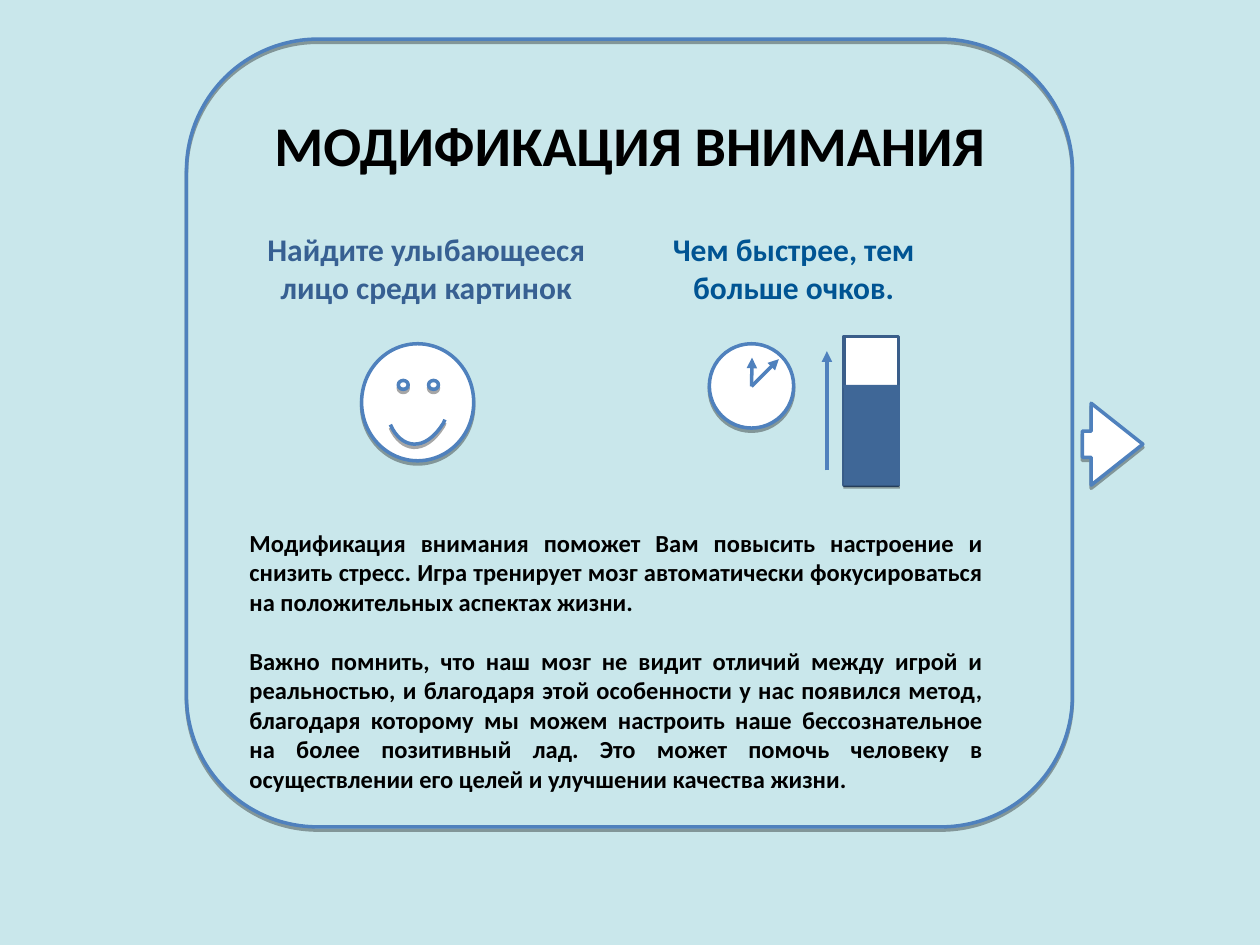
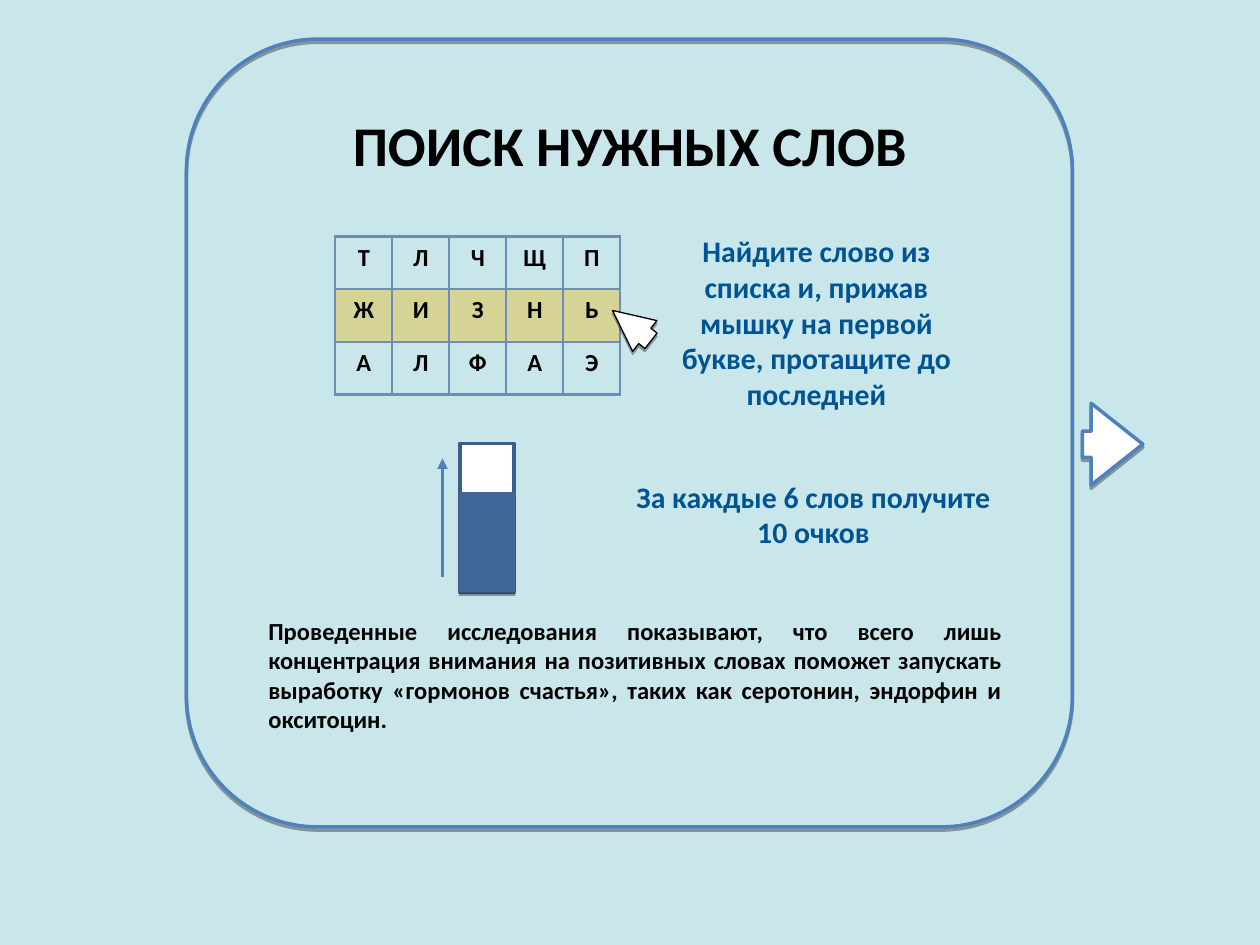
from dataclasses import dataclass
from lxml.etree import SubElement
from pptx import Presentation
from pptx.dml.color import RGBColor
from pptx.enum.shapes import MSO_CONNECTOR, MSO_SHAPE
from pptx.enum.text import MSO_ANCHOR, MSO_AUTO_SIZE, PP_ALIGN
from pptx.oxml.ns import qn
from pptx.util import Cm, Pt


@dataclass(frozen=True)
class Theme:
    back: str = "C9E7EB"
    edge: str = "4F81BD"
    deep: str = "3A5E8A"
    level: str = "3F6797"
    white: str = "FFFFFF"
    black: str = "000000"
    blue: str = "005493"
    slate: str = "376092"
    grid: str = "6E8BBB"
    mark: str = "D5D496"
    font: str = "Calibri"
    title: int = 32
    lead: int = 18
    note: int = 17
    body: int = 14


look = Theme()
rgb = RGBColor.from_string


def dress(shape, fill, line, width=2, shade=True):
    """Set fill, outline and the small shadow below a shape."""
    if fill:
        shape.fill.solid()
        shape.fill.fore_color.rgb = rgb(fill)
    else:
        shape.fill.background()
    if line:
        shape.line.color.rgb = rgb(line)
        shape.line.width = Pt(width)
    else:
        shape.line.fill.background()
    shape.shadow.inherit = False
    if shade:
        effects = shape._element.spPr.find(qn("a:effectLst"))
        drop = SubElement(effects, qn("a:outerShdw"), blurRad="0",
                          dist=str(Pt(1.8)), dir="5400000", rotWithShape="0")
        tint = SubElement(drop, qn("a:srgbClr"), val=look.black)
        SubElement(tint, qn("a:alpha"), val="35000")


def write(frame, parts, size, color, align=PP_ALIGN.CENTER):
    for i, text in enumerate(parts):
        para = frame.add_paragraph() if i else frame.paragraphs[0]
        para.alignment = align
        para.space_before = Pt(17 if i else 0)
        run = para.add_run()
        run.text = text
        run.font.name = look.font
        run.font.size = Pt(size)
        run.font.bold = True
        run.font.color.rgb = rgb(color)


deck = Presentation()
deck.slide_width, deck.slide_height = Cm(25.4), Cm(19.05)
ground = deck.slide_master.background.fill
ground.solid()
ground.fore_color.rgb = rgb(look.back)

# Per slide: title, gauge corner, text boxes (place, paragraphs, size, colour, align)
mid, just = PP_ALIGN.CENTER, PP_ALIGN.JUSTIFY
plans = [
    ("МОДИФИКАЦИЯ ВНИМАНИЯ", (17.02, 6.78), [
        ((4.9, 4.52, 7.39, 1.78), ["Найдите улыбающееся лицо среди картинок"],
         look.lead, look.slate, mid),
        ((12.7, 4.52, 6.6, 1.78), ["Чем быстрее, тем больше очков."],
         look.lead, look.blue, mid),
        ((4.78, 10.52, 15.29, 5.59), [
            "Модификация внимания поможет Вам повысить настроение и снизить "
            "стресс. Игра тренирует мозг автоматически фокусироваться на "
            "положительных аспектах жизни.",
            "Важно помнить, что наш мозг не видит отличий между игрой и "
            "реальностью, и благодаря этой особенности у нас появился метод, "
            "благодаря которому мы можем настроить наше бессознательное на "
            "более позитивный лад. Это может помочь человеку в осуществлении "
            "его целей и улучшении качества жизни."],
         look.body, look.black, just)]),
    ("ПОИСК НУЖНЫХ СЛОВ", (9.27, 8.94), [
        ((13.49, 4.57, 5.94, 3.86),
         ["Найдите слово из списка и, прижав мышку на первой букве, "
          "протащите до последней"],
         look.note, look.blue, mid),
        ((12.5, 9.52, 7.8, 1.7), ["За каждые 6 слов получите 10 очков"],
         look.note, look.blue, mid),
        ((5.16, 12.29, 15.29, 2.64), [
            "Проведенные исследования показывают, что всего лишь концентрация "
            "внимания на позитивных словах поможет запускать выработку "
            "«гормонов счастья», таких как серотонин, эндорфин и окситоцин."],
         look.body, look.black, just)]),
]

slides, lines = [], []
for name, (x, y), texts in plans:
    slide = deck.slides.add_slide(deck.slide_layouts[5])
    slides.append(slide)
    title = slide.shapes.title
    title.left, title.top, title.width, title.height = (
        Cm(1.27), Cm(1.32), Cm(22.86), Cm(3.18))
    title.text_frame.auto_size = MSO_AUTO_SIZE.NONE
    title.text_frame.vertical_anchor = MSO_ANCHOR.MIDDLE
    write(title.text_frame, [name], look.title, look.black)

    card = slide.shapes.add_shape(MSO_SHAPE.ROUNDED_RECTANGLE,
                                  Cm(3.76), Cm(0.79), Cm(17.86), Cm(15.88))
    dress(card, None, look.edge)
    go = slide.shapes.add_shape(MSO_SHAPE.RIGHT_ARROW,
                                Cm(21.82), Cm(8.13), Cm(1.22), Cm(1.65))
    go.adjustments[0], go.adjustments[1] = 0.32, 0.854
    dress(go, look.white, look.edge)

    tube = slide.shapes.add_shape(MSO_SHAPE.RECTANGLE,
                                  Cm(x), Cm(y), Cm(1.09), Cm(3))
    dress(tube, look.white, look.deep, shade=False)
    level = slide.shapes.add_shape(MSO_SHAPE.RECTANGLE,
                                   Cm(x - 0.02), Cm(y + 0.98), Cm(1.14), Cm(2.03))
    dress(level, look.level, None)
    lines.append((slide, (x - 0.35, y + 2.7), (x - 0.35, y + 0.3)))

    for place, parts, size, color, align in texts:
        frame = slide.shapes.add_textbox(*map(Cm, place)).text_frame
        frame.word_wrap = True
        frame.margin_left = frame.margin_right = Cm(0.25 if align == just else 0.13)
        write(frame, parts, size, color, align)

# Smiling face and clock
first, second = slides
for place in [(7.29, 6.93, 2.26, 2.36), (8.03, 7.67, 0.2, 0.18),
              (8.64, 7.67, 0.2, 0.18), (14.3, 6.93, 1.7, 1.7)]:
    disc = first.shapes.add_shape(MSO_SHAPE.OVAL, *map(Cm, place))
    dress(disc, look.white, look.edge)

bend = [(7.87, 8.56), (8.08, 9.04), (8.56, 9.14), (8.94, 8.53)]
curve = []
for step in range(17):
    t = step / 16
    rates = ((1 - t) ** 3, 3 * t * (1 - t) ** 2, 3 * t ** 2 * (1 - t), t ** 3)
    curve.append([Cm(sum(r * p[axis] for r, p in zip(rates, bend)))
                  for axis in (0, 1)])
curve.append([Cm(8.97), Cm(8.46)])
pen = first.shapes.build_freeform(*curve[0])
pen.add_line_segments(curve[1:], close=False)
dress(pen.convert_to_shape(), None, look.edge)

hub = (15.15, 7.79)
lines += [(first, hub, (15.16, 7.21)), (first, hub, (15.7, 7.24))]
for slide, start, end in lines:
    arrow = slide.shapes.add_connector(MSO_CONNECTOR.STRAIGHT,
                                       *map(Cm, start + end))
    arrow.line.color.rgb = rgb(look.edge)
    arrow.line.width = Pt(2)
    SubElement(arrow.line._get_or_add_ln(), qn("a:tailEnd"), type="triangle")
    SubElement(arrow._element.spPr, qn("a:effectLst"))

# Letter grid and mouse pointer
words = ["ТЛЧЩП", "ЖИЗНЬ", "АЛФАЭ"]
wide, high = 1.15, 1.06
grid = second.shapes.add_table(3, 5, Cm(6.76), Cm(4.77),
                               Cm(5 * wide), Cm(3 * high)).table
grid.first_row = grid.horz_banding = False
for col in grid.columns:
    col.width = Cm(wide)
for i, word in enumerate(words):
    grid.rows[i].height = Cm(high)
    for j, letter in enumerate(word):
        cell = grid.cell(i, j)
        write(cell.text_frame, [letter], look.body, look.black)
        props = cell._tc.get_or_add_tcPr()
        for side in ("lnL", "lnR", "lnT", "lnB"):
            rule = SubElement(props, qn("a:" + side), w=str(Pt(1.47)))
            paint = SubElement(rule, qn("a:solidFill"))
            SubElement(paint, qn("a:srgbClr"), val=look.grid)
        if word == "ЖИЗНЬ":
            cell.fill.solid()
            cell.fill.fore_color.rgb = rgb(look.mark)
        else:
            cell.fill.background()

mouse = second.shapes.add_shape(MSO_SHAPE.DOWN_ARROW,
                                Cm(12.34), Cm(6.07), Cm(0.79), Cm(0.99))
mouse.adjustments[0], mouse.adjustments[1] = 0.5, 1.05
mouse.rotation = 128.3
dress(mouse, look.white, look.black, 0.75)

deck.save("out.pptx")
